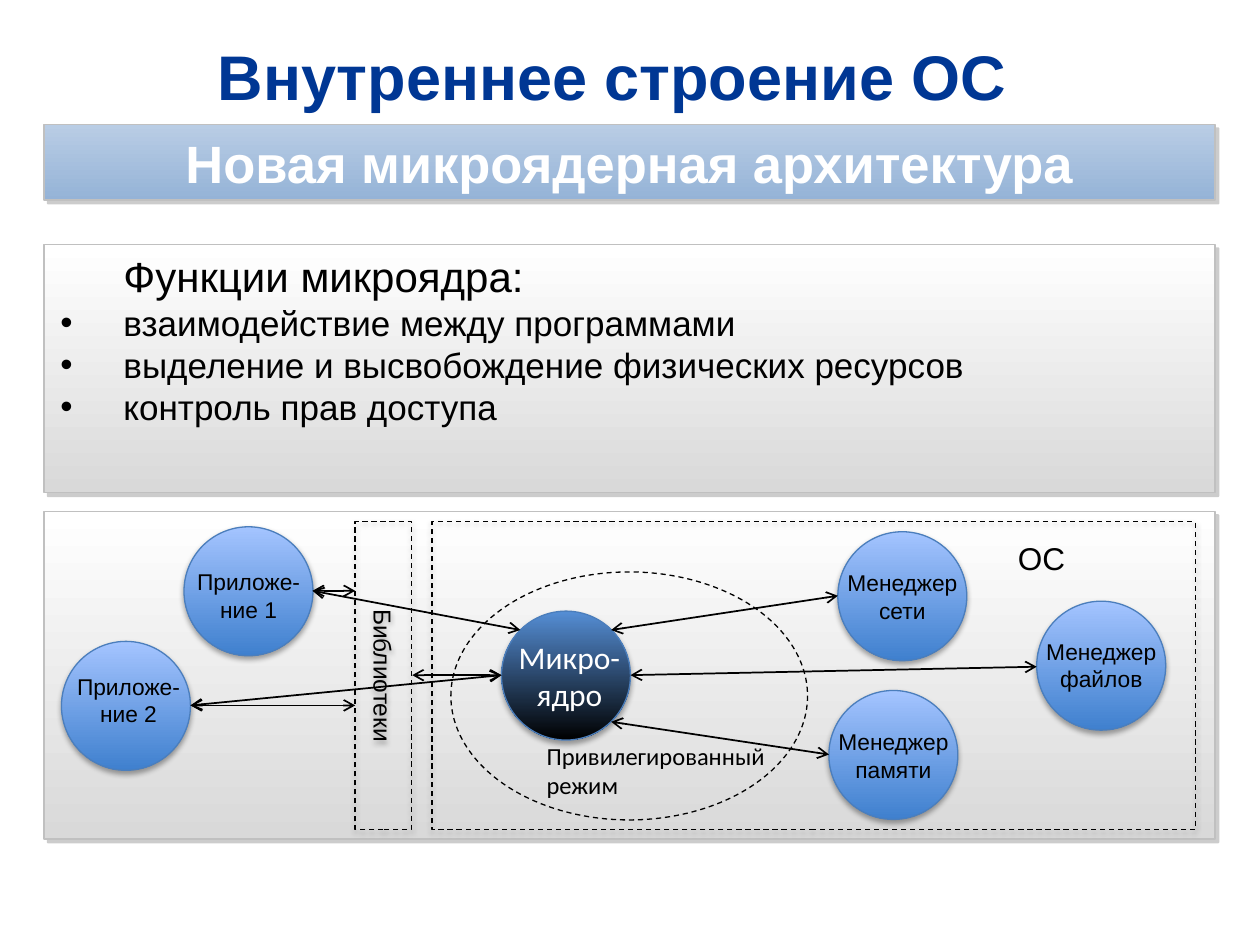
from lxml.etree import SubElement
from pptx import Presentation
from pptx.dml.color import RGBColor
from pptx.enum.dml import MSO_LINE
from pptx.enum.shapes import MSO_CONNECTOR, MSO_SHAPE
from pptx.enum.text import MSO_ANCHOR, MSO_AUTO_SIZE, PP_ALIGN
from pptx.oxml.ns import qn
from pptx.util import Cm, Pt

NAVY = RGBColor(0x00, 0x37, 0x94)
WHITE = RGBColor(0xFF, 0xFF, 0xFF)
BLACK = RGBColor(0x00, 0x00, 0x00)
GREY = RGBColor(0xC0, 0xC0, 0xC0)
PALE_GREY = RGBColor(0xD9, 0xD9, 0xD9)
BANNER_TOP = RGBColor(0xB9, 0xCD, 0xE5)
BANNER_BOTTOM = RGBColor(0x95, 0xB3, 0xD7)
NODE_TOP = RGBColor(0xA4, 0xC4, 0xFF)
NODE_BOTTOM = RGBColor(0x3F, 0x80, 0xCE)
NODE_EDGE = RGBColor(0x4B, 0x7E, 0xBC)
KERNEL_TOP = RGBColor(0x55, 0x8E, 0xD5)

# Shadow values: colour, opacity in %, blur in pt, distance in pt, angle
PANEL_SHADOW = ("808080", 40, 0, 3, 45)
SOFT_SHADOW = ("000000", 35, 3.1, 1.8, 90)
PANEL_LINE = {"color": GREY, "width": Pt(1)}
NODE_LINE = {"color": NODE_EDGE, "width": Pt(0.75)}
DASHED_LINE = {"color": BLACK, "width": Pt(0.75), "dash_style": MSO_LINE.DASH}
CENTERED = {"alignment": PP_ALIGN.CENTER}
GROWING = {"auto_size": MSO_AUTO_SIZE.SHAPE_TO_FIT_TEXT}
MIDDLE = {"vertical_anchor": MSO_ANCHOR.MIDDLE}

deck = Presentation()
deck.slide_width, deck.slide_height = Cm(25.4), Cm(19.05)
page = deck.slides.add_slide(deck.slide_layouts[6])


def add_figure(kind, place, line, gradient=None, shadow=None):
    figure = page.shapes.add_shape(kind, *map(Cm, place))
    if gradient:
        figure.fill.gradient()
        figure.fill.gradient_angle = 270
        for stop, color in zip(figure.fill.gradient_stops, gradient):
            stop.color.rgb = color
    else:
        figure.fill.background()
    for name, value in line.items():
        if name == "color":
            figure.line.color.rgb = value
        else:
            setattr(figure.line, name, value)
    figure.shadow.inherit = False
    if shadow:
        color, opacity, blur, distance, angle = shadow
        effects = figure._element.spPr.find(qn("a:effectLst"))
        outer = SubElement(effects, qn("a:outerShdw"), blurRad=str(Pt(blur)),
                           dist=str(Pt(distance)), dir=str(angle * 60000), rotWithShape="0")
        tint = SubElement(outer, qn("a:srgbClr"), val=color)
        SubElement(tint, qn("a:alpha"), val=str(opacity * 1000))
    return figure


def write_text(box, lines, size, color=BLACK, font="Arial", bold=False, frame=GROWING, para=CENTERED):
    for name, value in {"word_wrap": True, **frame}.items():
        setattr(box.text_frame, name, value)
    for index, line in enumerate(lines):
        paragraph = box.text_frame.paragraphs[0] if index == 0 else box.text_frame.add_paragraph()
        for name, value in para.items():
            setattr(paragraph, name, value)
        span = paragraph.add_run()
        span.text = line
        for name, value in {"name": font, "size": Pt(size), "bold": bold}.items():
            setattr(span.font, name, value)
        span.font.color.rgb = color


# Title, set slightly left of centre
title = page.shapes.add_textbox(Cm(0.89), Cm(0.66), Cm(23.6), Cm(1.73))
write_text(title, ["Внутреннее строение ОС"], 36, NAVY, bold=True,
           frame={**MIDDLE, "margin_right": Cm(0.95)})

# Diagram panel and banner
add_figure(MSO_SHAPE.RECTANGLE, (0.89, 10.31, 23.6, 6.6), PANEL_LINE, (WHITE, PALE_GREY), PANEL_SHADOW)
banner = add_figure(MSO_SHAPE.RECTANGLE, (0.89, 2.51, 23.6, 1.52), PANEL_LINE,
                    (BANNER_TOP, BANNER_BOTTOM), PANEL_SHADOW)
write_text(banner, ["Новая микроядерная архитектура"], 30, WHITE, bold=True,
           frame={**MIDDLE, "margin_left": Cm(0.6), "margin_right": Cm(0.6),
                  "margin_top": Cm(0.1), "margin_bottom": Cm(0.1)})

# Microkernel, managers and applications
DIAMETER = 2.6
add_figure(MSO_SHAPE.OVAL, (10.11, 12.32, DIAMETER, DIAMETER), NODE_LINE, (KERNEL_TOP, BLACK), SOFT_SHADOW)
for left, top in [(16.89, 10.72), (20.9, 12.12), (16.71, 13.92), (3.71, 10.62), (1.24, 12.93)]:
    add_figure(MSO_SHAPE.OVAL, (left, top, DIAMETER, DIAMETER), NODE_LINE,
               (NODE_TOP, NODE_BOTTOM), SOFT_SHADOW)

# Dashed borders: privileged mode, operating system, libraries
add_figure(MSO_SHAPE.OVAL, (9.09, 11.53, 7.19, 5), DASHED_LINE)
add_figure(MSO_SHAPE.RECTANGLE, (8.71, 10.52, 15.39, 6.2), DASHED_LINE, shadow=SOFT_SHADOW)
libraries = add_figure(MSO_SHAPE.RECTANGLE, (7.16, 10.52, 1.14, 6.2), DASHED_LINE, shadow=SOFT_SHADOW)
write_text(libraries, ["Библиотеки"], 14, frame=MIDDLE)
libraries.text_frame._txBody.bodyPr.set("vert", "vert")

# Two-way arrows
for start_x, start_y, end_x, end_y in [
    (12.32, 12.7, 16.89, 12.01),
    (12.71, 13.61, 20.9, 13.44),
    (12.32, 14.55, 16.71, 15.21),
    (10.49, 12.7, 6.3, 11.91),
    (3.84, 14.22, 10.11, 13.61),
    (3.84, 14.22, 7.16, 14.22),
    (6.3, 11.91, 7.16, 11.91),
    (8.31, 13.61, 10.11, 13.61),
]:
    arrow = page.shapes.add_connector(MSO_CONNECTOR.STRAIGHT, Cm(start_x), Cm(start_y), Cm(end_x), Cm(end_y))
    arrow.line.color.rgb = BLACK
    arrow.line.width = Pt(1)
    properties = arrow._element.spPr
    for end in ("a:headEnd", "a:tailEnd"):
        SubElement(properties.find(qn("a:ln")), qn(end), type="arrow")
    SubElement(properties, qn("a:effectLst"))

# Diagram labels
for left, top, label in [
    (16.69, 11.35, "Менеджер сети"),
    (20.7, 12.73, "Менеджер файлов"),
    (16.51, 14.55, "Менеджер памяти"),
    (3.51, 11.33, "Приложе-ние 1"),
    (1.09, 13.44, "Приложе-ние 2"),
]:
    box = page.shapes.add_textbox(Cm(left), Cm(top), Cm(3), Cm(1.37))
    write_text(box, [label], 13)
kernel = page.shapes.add_textbox(Cm(10.11), Cm(12.73), Cm(2.74), Cm(1.8))
write_text(kernel, ["Микро-", "ядро"], 18, WHITE, "Calibri")
mode = page.shapes.add_textbox(Cm(10.77), Cm(14.81), Cm(5.59), Cm(1.45))
write_text(mode, ["Привилегированный режим"], 14, font="Calibri", para={})
system = page.shapes.add_textbox(Cm(20.27), Cm(10.74), Cm(2.01), Cm(1.02))
write_text(system, ["ОС"], 18, para={})

# Microkernel functions
add_figure(MSO_SHAPE.RECTANGLE, (0.89, 4.93, 23.6, 5), PANEL_LINE, (WHITE, PALE_GREY), PANEL_SHADOW)
functions = page.shapes.add_textbox(Cm(0.97), Cm(4.93), Cm(23.55), Cm(3.84))
write_text(functions, [
    "Функции микроядра:",
    "взаимодействие между программами",
    "выделение и высвобождение физических ресурсов",
    "контроль прав доступа",
], 20, para={})
heading, *items = functions.text_frame.paragraphs
heading.runs[0].font.size = Pt(24)
heading._p.get_or_add_pPr().set("marL", str(Cm(1.27)))
for item in items:
    settings = item._p.get_or_add_pPr()
    settings.set("marL", str(Cm(1.27)))
    settings.set("indent", str(Cm(-1.27)))
    SubElement(settings, qn("a:buFont"), typeface="Arial")
    SubElement(settings, qn("a:buChar"), char="•")

deck.save("out.pptx")
